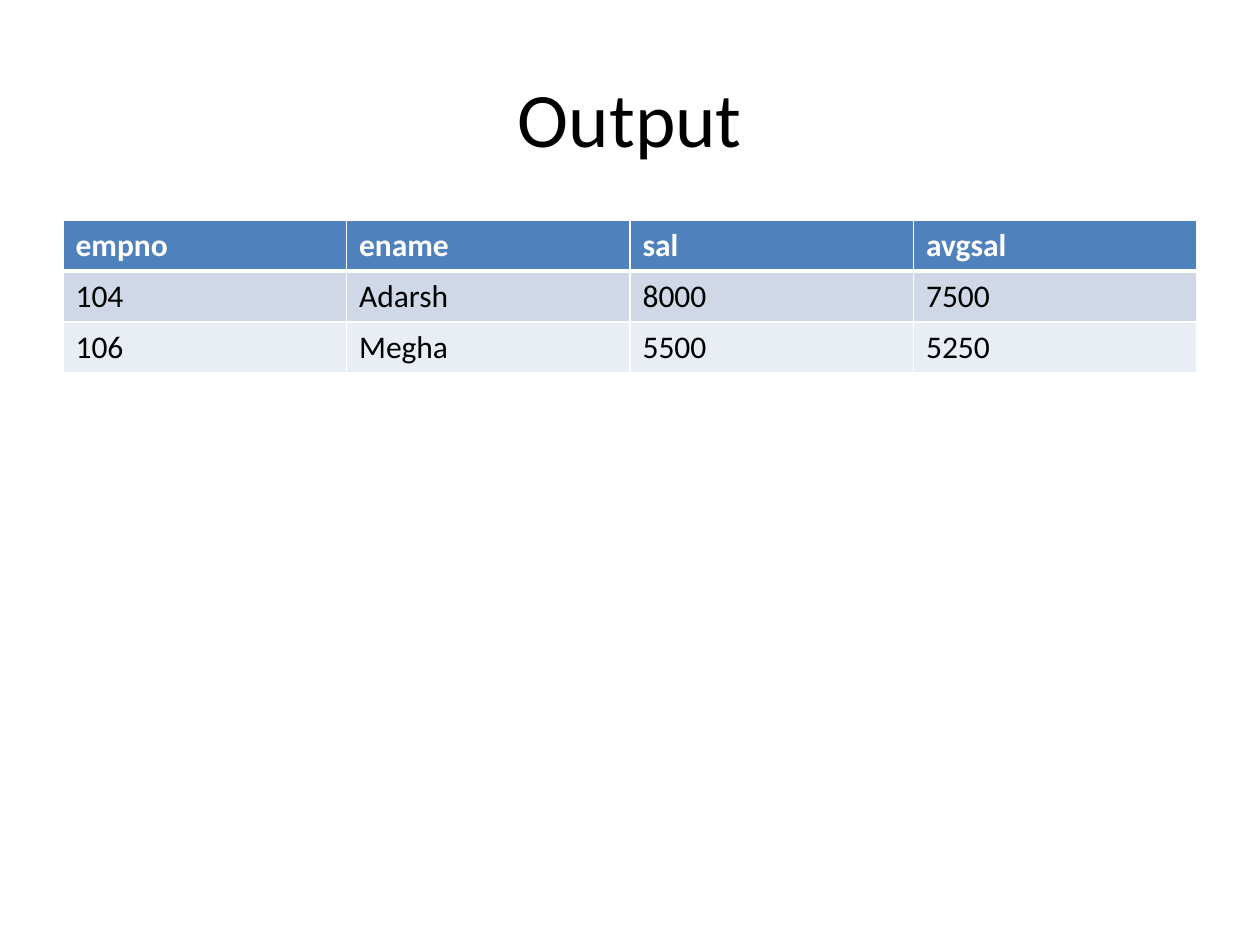
from lxml import etree
from pptx import Presentation
from pptx.dml.color import RGBColor
from pptx.enum.text import MSO_ANCHOR, PP_ALIGN
from pptx.oxml.ns import qn
from pptx.util import Pt

MIDDLE = MSO_ANCHOR.MIDDLE
LEFT, CENTER = PP_ALIGN.LEFT, PP_ALIGN.CENTER

TITLE = "Output"
ROWS = [
    ("empno", "ename", "sal", "avgsal"),
    ("104", "Adarsh", "8000", "7500"),
    ("106", "Megha", "5500", "5250"),
]
FILLS = ["4F81BD", "D0D8E8", "E9EDF4"]
WHITE, BLACK = "FFFFFF", "000000"
TITLE_BOX = (63, 38, 1134, 158)
GRID_LEFT, GRID_TOP, GRID_WIDTH, ROW_HEIGHT = 63, 220, 1134, 51


def px(n):
    return round(n * 914400 / 126)


def color(code):
    return RGBColor.from_string(code)


def write(frame, text, size=18, ink=BLACK, bold=False, align=LEFT):
    para = frame.paragraphs[0]
    para.alignment = align
    run = para.add_run()
    run.text = text
    font = run.font
    font.name, font.size, font.bold = "Calibri", Pt(size), bold
    font.color.rgb = color(ink)


def edge(cell, **widths):
    """Draw white cell borders, with widths in points by side, in schema order."""
    props = cell._tc.get_or_add_tcPr()
    for i, (side, width) in enumerate(widths.items()):
        line = etree.Element(qn(f"a:ln{side}"), w=str(Pt(width)))
        fill = etree.SubElement(line, qn("a:solidFill"))
        etree.SubElement(fill, qn("a:srgbClr"), val=WHITE)
        props.insert(i, line)


def add_title(slide):
    box = slide.shapes.add_textbox(*map(px, TITLE_BOX))
    frame = box.text_frame
    frame.word_wrap = True
    frame.vertical_anchor = MIDDLE
    write(frame, TITLE, size=44, align=CENTER)


def add_grid(slide):
    count = len(ROWS[0])
    table = slide.shapes.add_table(
        len(ROWS), count, px(GRID_LEFT), px(GRID_TOP),
        px(GRID_WIDTH), px(ROW_HEIGHT * len(ROWS))).table
    for col in table.columns:
        col.width = px(GRID_WIDTH / count)
    for r, (row, fill) in enumerate(zip(ROWS, FILLS)):
        table.rows[r].height = px(ROW_HEIGHT)
        head = r == 0
        for c, text in enumerate(row):
            cell = table.cell(r, c)
            cell.fill.solid()
            cell.fill.fore_color.rgb = color(fill)
            edge(cell, L=1, R=1, T=3 if r == 1 else 1, B=3 if head else 1)
            write(cell.text_frame, text, ink=WHITE if head else BLACK, bold=head)


def main():
    deck = Presentation()
    deck.slide_width, deck.slide_height = px(1260), px(945)
    slide = deck.slides.add_slide(deck.slide_layouts[6])
    add_title(slide)
    add_grid(slide)
    deck.save("out.pptx")


if __name__ == "__main__":
    main()
